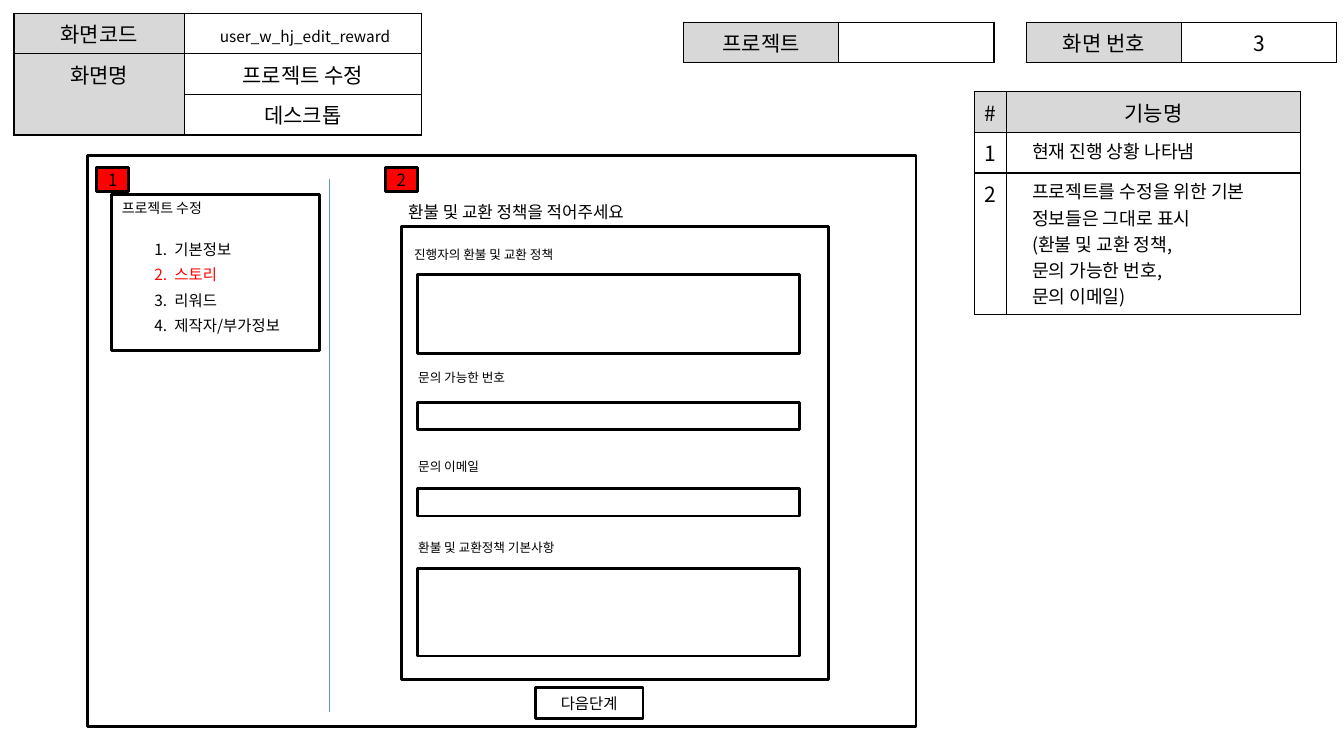
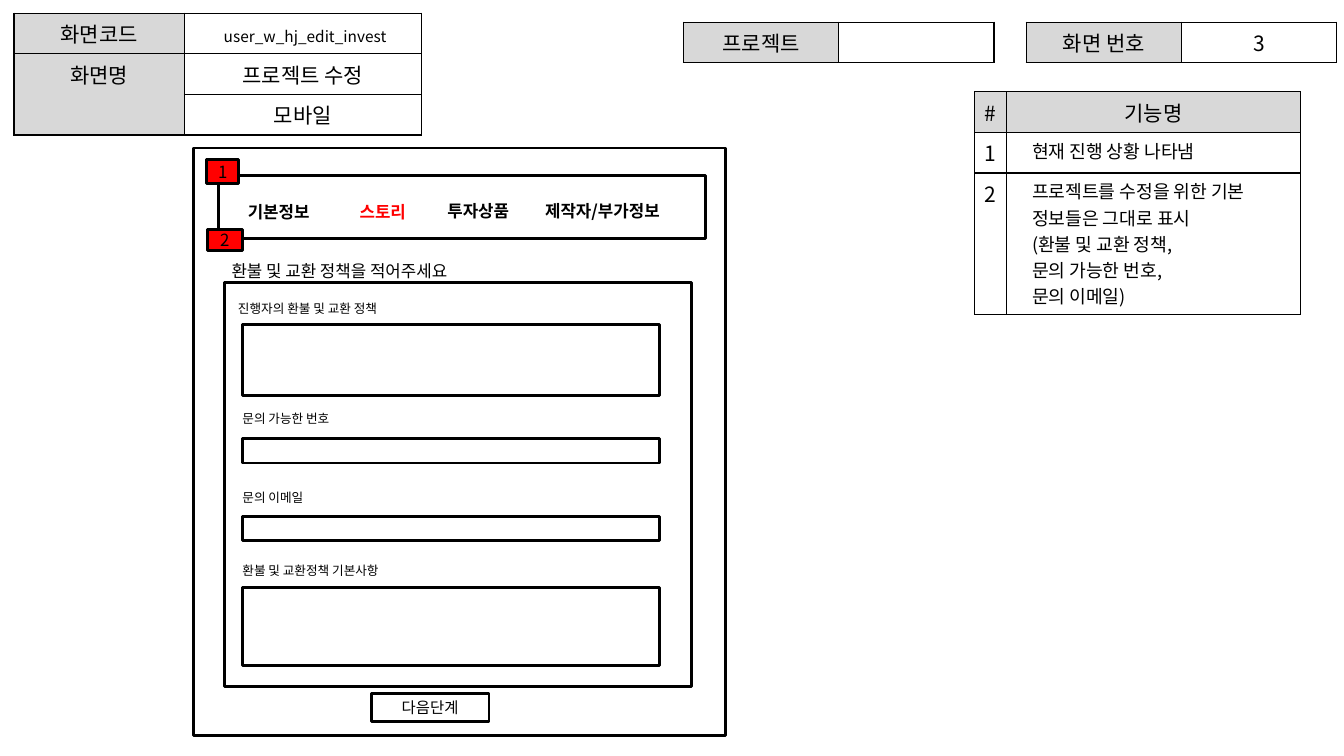
from dataclasses import dataclass

from lxml import etree
from pptx import Presentation
from pptx.dml.color import RGBColor
from pptx.enum.shapes import MSO_CONNECTOR, MSO_SHAPE
from pptx.enum.text import MSO_ANCHOR, MSO_AUTO_SIZE, PP_ALIGN
from pptx.oxml.ns import qn
from pptx.util import Pt

LEFT, CENTER = PP_ALIGN.LEFT, PP_ALIGN.CENTER
TOP, MIDDLE = MSO_ANCHOR.TOP, MSO_ANCHOR.MIDDLE
RECT, STRAIGHT = MSO_SHAPE.RECTANGLE, MSO_CONNECTOR.STRAIGHT
NO_FIT = MSO_AUTO_SIZE.NONE
FONT = "Noto Sans CJK KR"
COLORS = {"ink": "000000", "head": "D8D8D8", "paper": "FFFFFF",
          "accent": "FF0000", "divider": "5597D3"}
TITLE_AND_CONTENT, TITLE_ONLY = 1, 5


@dataclass(frozen=True)
class Box:
    x: float
    y: float
    w: float
    h: float

    def lengths(self) -> tuple:
        return Pt(self.x), Pt(self.y), Pt(self.w), Pt(self.h)


@dataclass(frozen=True)
class Cell:
    """Lines of a table cell; each line is a list of (text, size) runs."""
    lines: tuple
    fill: str = "paper"
    align: PP_ALIGN = CENTER
    margin: float = 0


@dataclass(frozen=True)
class Field:
    """Form entry, placed from the corner of the form frame."""
    label: str
    label_x: float
    label_y: float
    y: float
    h: float


@dataclass(frozen=True)
class Step:
    text: str
    x: float = 0
    y: float = 0
    color: str = "ink"


FORM_SIZE = (305.3, 323.3)
FIELDS = (
    Field("진행자의 환불 및 교환 정책", 2.1, 10.8, 33.8, 56.9),
    Field("문의 가능한 번호", 5, 98.6, 125.3, 19.4),
    Field("문의 이메일", 5, 162, 187.2, 19.4),
    Field("환불 및 교환정책 기본사항", 5, 220.3, 244.1, 62.6),
)
MENU_STEPS = (Step("기본정보"), Step("스토리", color="accent"),
              Step("리워드"), Step("제작자/부가정보"))
NAV_STEPS = (Step("기본정보", 169.9, 140.4),
             Step("스토리", 249.8, 140.4, "accent"),
             Step("투자상품", 312.5, 139.7),
             Step("제작자/부가정보", 382.3, 139.7))


def rgb(name: str) -> RGBColor:
    return RGBColor.from_string(COLORS[name])


def add_run(p, text: str, size: float, color: str = "ink", bold: bool = False) -> None:
    r = p.add_run()
    r.text = text
    f = r.font
    f.size, f.bold, f.name = Pt(size), bold, FONT
    f.color.rgb = rgb(color)
    etree.SubElement(r._r.get_or_add_rPr(), qn("a:ea")).set("typeface", FONT)


def set_frame(tf, anchor=TOP) -> None:
    tf.word_wrap, tf.auto_size, tf.vertical_anchor = True, NO_FIT, anchor


def add_label(s, box: Box, text: str, size: float, color: str = "ink",
              bold: bool = False) -> None:
    tf = s.shapes.add_textbox(*box.lengths()).text_frame
    set_frame(tf)
    add_run(tf.paragraphs[0], text, size, color, bold)


def add_box(s, box: Box, text: str = "", size: float = 12, fill: str = "") -> None:
    sp = s.shapes.add_shape(RECT, *box.lengths())
    sp.shadow.inherit = False
    sp.line.color.rgb, sp.line.width = rgb("ink"), Pt(2)
    if fill:
        sp.fill.solid()
        sp.fill.fore_color.rgb = rgb(fill)
    else:
        sp.fill.background()
    if text:
        set_frame(sp.text_frame, MIDDLE)
        p = sp.text_frame.paragraphs[0]
        p.alignment = CENTER
        add_run(p, text, size)


def add_marker(s, box: Box, number: str) -> None:
    add_box(s, box, number, fill="accent")


def place(sp, box: Box) -> None:
    sp.left, sp.top, sp.width, sp.height = box.lengths()


# Tables
def head(text: str) -> Cell:
    return Cell((((text, 15),),), "head")


def value(text: str) -> Cell:
    return Cell((((text, 15),),))


def description(*lines: str) -> Cell:
    return Cell(tuple(((line, 13),) for line in lines), align=LEFT, margin=10.8)


def set_borders(cell) -> None:
    tc_pr = cell._tc.get_or_add_tcPr()
    for i, side in enumerate(("lnL", "lnR", "lnT", "lnB")):
        ln = etree.Element(qn(f"a:{side}"), w=str(Pt(0.96)))
        fill = etree.SubElement(ln, qn("a:solidFill"))
        etree.SubElement(fill, qn("a:srgbClr")).set("val", COLORS["ink"])
        tc_pr.insert(i, ln)


def fill_cell(cell, spec_cell: Cell) -> None:
    cell.fill.solid()
    cell.fill.fore_color.rgb = rgb(spec_cell.fill)
    set_borders(cell)
    tf = cell.text_frame
    for i, line in enumerate(spec_cell.lines):
        p = tf.add_paragraph() if i else tf.paragraphs[0]
        p.alignment = spec_cell.align
        p._p.get_or_add_pPr().set("marL", str(Pt(spec_cell.margin)))
        for text, size in line:
            add_run(p, text, size)
    if not spec_cell.lines:
        etree.SubElement(tf.paragraphs[0]._p, qn("a:endParaRPr")).set("sz", "1500")


def add_grid(s, x: float, y: float, cols: tuple, heights: tuple, rows: tuple):
    box = Box(x, y, sum(cols), sum(heights))
    tbl = s.shapes.add_table(len(rows), len(cols), *box.lengths()).table
    tbl.first_row = tbl.horz_banding = False
    for col, width in zip(tbl.columns, cols):
        col.width = Pt(width)
    for row, height, cells in zip(tbl.rows, heights, rows):
        row.height = Pt(height)
        for cell, content in zip(row.cells, cells):
            fill_cell(cell, content)
    return tbl


def add_tables(s, code: str, device: str) -> None:
    row = 29
    screen = add_grid(s, 10, 9.4, (121.7, 169.2), (row,) * 3, (
        (head("화면코드"), Cell((((" ", 15), (code, 11)),))),
        (head("화면명"), value("프로젝트 수정")),
        (Cell((), "head"), value(device))))
    screen.cell(1, 0).merge(screen.cell(2, 0))
    for x, name, content in ((488.2, "프로젝트", Cell(())),
                             (733, "화면 번호", value("3"))):
        add_grid(s, x, 15.8, (110.9,) * 2, (row,), ((head(name), content),))
    add_grid(s, 696.2, 65.5, (23, 209.5), (row, row, 101.3), (
        (head("#"), head("기능명")),
        (value("1"), description("현재 진행 상황 나타냄")),
        (value("2"), description("프로젝트를 수정을 위한 기본 정보들은 그대로 표시",
                                 "(환불 및 교환 정책,", "문의 가능한 번호,",
                                 "문의 이메일)"))))


# Refund policy form, stretched to its frame
def add_form(s, frame: Box) -> None:
    sx, sy = frame.w / FORM_SIZE[0], frame.h / FORM_SIZE[1]

    def fit(x: float, y: float, w: float, h: float) -> Box:
        return Box(frame.x + x * sx, frame.y + y * sy, w * sx, h * sy)

    title = s.shapes.title
    place(title, fit(-2.2, -21.6, 236.9, 32.4))
    set_frame(title.text_frame)
    p = title.text_frame.paragraphs[0]
    p.alignment = LEFT
    add_run(p, "환불 및 교환 정책을 적어주세요", 12)

    add_box(s, frame)
    add_marker(s, fit(-11.5, -42.5, 23, 17.3), "2")
    for field in FIELDS:
        add_label(s, fit(field.label_x, field.label_y, 236.9, 18), field.label, 9)
        add_box(s, fit(11.5, field.y, 272.9, field.h))
    add_box(s, fit(95.8, 329, 77, 22.3), "다음단계", 11)


# Progress: numbered menu on desktop, tab bar on mobile
def add_menu(s) -> None:
    frame = Box(79.9, 139, 148.3, 111.6)
    add_label(s, Box(frame.x, frame.y, 113.8, 18.7), "프로젝트 수정", 10)
    body = s.placeholders[1]
    place(body, Box(103, 167.8, 153.4, 83))
    tf = body.text_frame
    set_frame(tf)
    for i, step in enumerate(MENU_STEPS):
        p = tf.add_paragraph() if i else tf.paragraphs[0]
        p.space_before = Pt(5 if i else 0)
        p_pr = p._p.get_or_add_pPr()
        p_pr.set("marL", str(Pt(14.4)))
        p_pr.set("indent", str(-Pt(14.4)))
        clr = etree.SubElement(p_pr, qn("a:buClr"))
        etree.SubElement(clr, qn("a:srgbClr")).set("val", COLORS[step.color])
        etree.SubElement(p_pr, qn("a:buFont")).set("typeface", FONT)
        etree.SubElement(p_pr, qn("a:buAutoNum")).set("type", "arabicPeriod")
        add_run(p, step.text, 11, step.color)
    add_box(s, frame)
    add_marker(s, Box(69.1, 119.5, 23, 17.3), "1")


def add_divider(s) -> None:
    line = s.shapes.add_connector(STRAIGHT, Pt(235.4), Pt(128.2), Pt(235.4), Pt(508.3))
    line.line.color.rgb, line.line.width = rgb("divider"), Pt(0.75)
    etree.SubElement(line._element.spPr, qn("a:effectLst"))


def add_nav(s) -> None:
    for step in NAV_STEPS:
        add_label(s, Box(step.x, step.y, 153.4, 21.6), step.text, 12, step.color, True)
    add_box(s, Box(156.2, 125.3, 347.8, 45.4))
    add_marker(s, Box(147.6, 113.8, 23, 17.3), "1")


def desktop_slide(prs) -> None:
    s = prs.slides.add_slide(prs.slide_layouts[TITLE_AND_CONTENT])
    add_tables(s, "user_w_hj_edit_reward", "데스크톱")
    add_divider(s)
    add_menu(s)
    add_box(s, Box(62.6, 110.9, 591.8, 408.2))
    add_form(s, Box(286.6, 162, *FORM_SIZE))


def mobile_slide(prs) -> None:
    s = prs.slides.add_slide(prs.slide_layouts[TITLE_ONLY])
    add_tables(s, "user_w_hj_edit_invest", "모바일")
    add_nav(s)
    add_box(s, Box(138.2, 105.8, 380.2, 419.8))
    add_form(s, Box(160.6, 201.6, 333.4, 288.7))


def main() -> None:
    prs = Presentation()
    prs.slide_width, prs.slide_height = Pt(960), Pt(540)
    desktop_slide(prs)
    mobile_slide(prs)
    prs.save("out.pptx")


if __name__ == "__main__":
    main()
